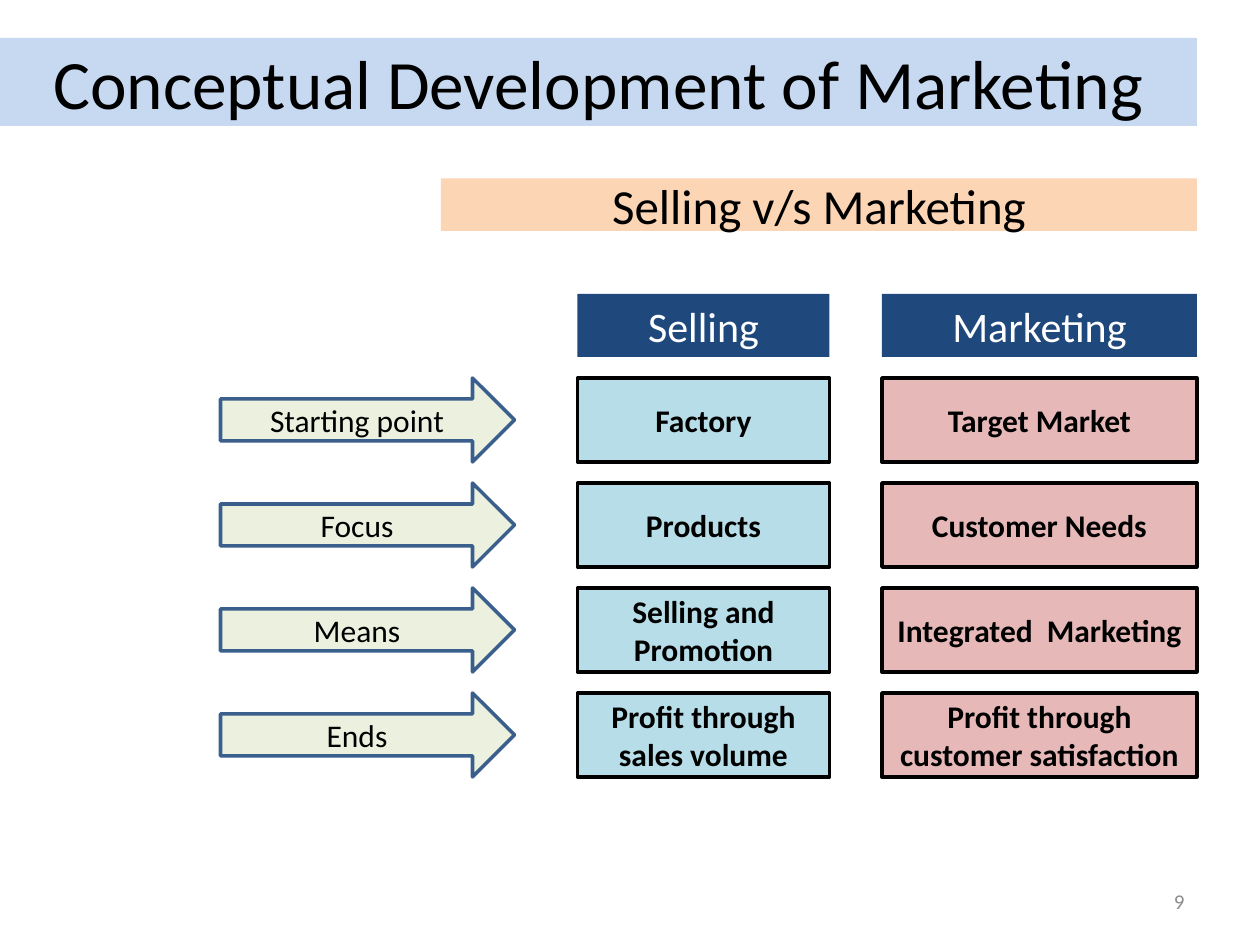
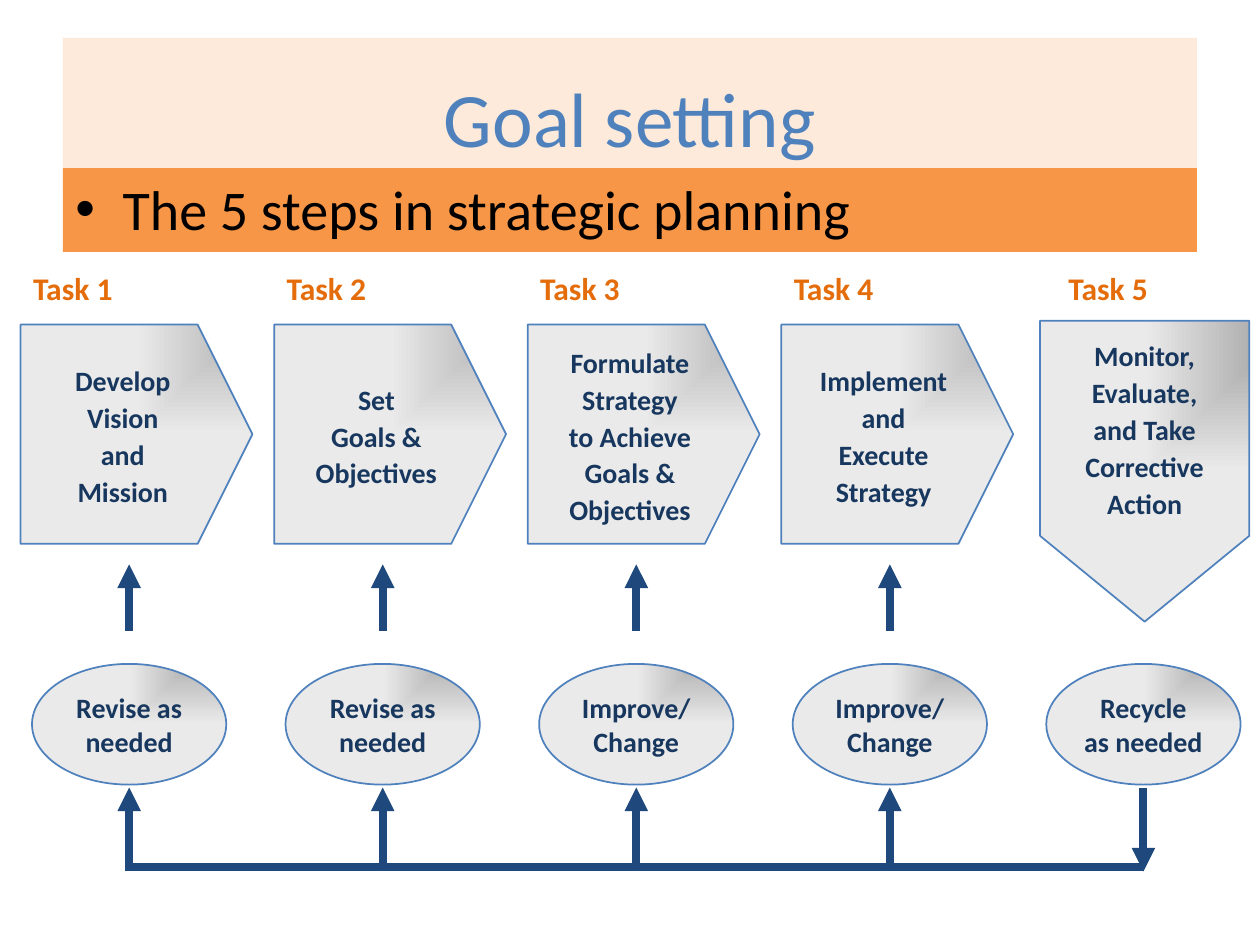
from lxml import etree
from pptx import Presentation
from pptx.dml.color import RGBColor
from pptx.enum.shapes import MSO_CONNECTOR, MSO_SHAPE
from pptx.enum.text import MSO_ANCHOR, PP_ALIGN
from pptx.oxml import parse_xml
from pptx.oxml.ns import nsdecls, qn
from pptx.util import Pt

FONT = "Calibri"
BLACK = RGBColor(0x00, 0x00, 0x00)
WHITE = RGBColor(0xFF, 0xFF, 0xFF)
GREY = RGBColor(0x8C, 0x8C, 0x8C)
NAVY = RGBColor(0x1F, 0x49, 0x7D)
INK = RGBColor(0x17, 0x37, 0x5E)
BLUE = RGBColor(0x4F, 0x81, 0xBD)
STEEL = RGBColor(0x3A, 0x5F, 0x8C)
SKY = RGBColor(0xC6, 0xD9, 0xF1)
AQUA = RGBColor(0xB7, 0xDE, 0xE8)
ROSE = RGBColor(0xE6, 0xB9, 0xB8)
LIME = RGBColor(0xEB, 0xF1, 0xDE)
PEACH = RGBColor(0xFC, 0xD5, 0xB5)
CREAM = RGBColor(0xFD, 0xEA, 0xDA)
ORANGE = RGBColor(0xF7, 0x96, 0x46)
RUST = RGBColor(0xE4, 0x6C, 0x0A)

# Grey shading that is darkest in the top right corner
SHADE = f"""<a:gradFill {nsdecls("a")} rotWithShape="0"><a:gsLst>
<a:gs pos="0"><a:srgbClr val="B2B2B2"/></a:gs>
<a:gs pos="100000"><a:srgbClr val="EAEAEA"/></a:gs></a:gsLst>
<a:path path="rect"><a:fillToRect l="100000" b="100000"/></a:path></a:gradFill>"""


def put(slide, text, left, top, width, height, kind=MSO_SHAPE.RECTANGLE,
        fill=None, line=None, weight=1, size=18, color=BLACK, bold=False,
        align=PP_ALIGN.CENTER, anchor=MSO_ANCHOR.MIDDLE, wrap=True, space=None):
    """Add a shape with text; a kind of None gives a plain text box."""
    area = [Pt(n) for n in (left, top, width, height)]
    if kind is None:
        shape = slide.shapes.add_textbox(*area)
    else:
        shape = slide.shapes.add_shape(kind, *area)
        shape.shadow.inherit = False
        if fill == SHADE:
            shape.fill.background()
            old = shape._element.spPr.find(qn("a:noFill"))
            old.getparent().replace(old, parse_xml(SHADE))
        else:
            shape.fill.solid()
            shape.fill.fore_color.rgb = fill
        if line is None:
            shape.line.fill.background()
        else:
            shape.line.color.rgb = line
            shape.line.width = Pt(weight)
    frame = shape.text_frame
    frame.word_wrap = wrap
    frame.vertical_anchor = anchor
    frame.text = text
    for para in frame.paragraphs:
        para.alignment = align
        para.line_spacing = space
        for run in para.runs:
            run.font.name = FONT
            run.font.size = Pt(size)
            run.font.bold = bold
            run.font.color.rgb = color
    return shape


def draw(slide, x1, y1, x2, y2, arrow=True):
    """Add a thick navy line, with an arrowhead at its end if asked."""
    link = slide.shapes.add_connector(
        MSO_CONNECTOR.STRAIGHT, Pt(x1), Pt(y1), Pt(x2), Pt(y2))
    link.line.color.rgb = NAVY
    link.line.width = Pt(4.5)
    if arrow:
        etree.SubElement(link.line._get_or_add_ln(), qn("a:tailEnd"), type="triangle")
    etree.SubElement(link._element.spPr, qn("a:effectLst"))


deck = Presentation()
deck.slide_width, deck.slide_height = Pt(720), Pt(540)
blank = deck.slide_layouts[6]

# Slide 1: selling against marketing
slide = deck.slides.add_slide(blank)
put(slide, "Conceptual Development of Marketing", 0, 21.6, 684, 50.4,
    fill=SKY, size=39.6)
put(slide, "Selling v/s Marketing", 252, 102, 432, 30, fill=PEACH, size=28)

HEADS = [("Selling", 330, 144, AQUA), ("Marketing", 504, 180, ROSE)]
ROWS = [
    ("Starting point", "Factory", "Target Market"),
    ("Focus", "Products", "Customer Needs"),
    ("Means", "Selling and Promotion", "Integrated  Marketing"),
    ("Ends", "Profit through sales volume", "Profit through customer satisfaction"),
]
for head, left, width, _ in HEADS:
    put(slide, head, left, 168, width, 36, fill=NAVY, size=24, color=WHITE,
        anchor=MSO_ANCHOR.TOP)
for i, (label, *cells) in enumerate(ROWS):
    top = 216 + 60 * i
    put(slide, label, 126, top, 168, 48, kind=MSO_SHAPE.RIGHT_ARROW,
        fill=LIME, line=STEEL, weight=2)
    for cell, (_, left, width, tint) in zip(cells, HEADS):
        put(slide, cell, left, top, width, 48, fill=tint, line=BLACK, weight=2,
            bold=True)
put(slide, "9", 516, 500.5, 168, 28.75, kind=None, size=12, color=GREY,
    align=PP_ALIGN.RIGHT)

# Slide 2: the planning steps
slide = deck.slides.add_slide(blank)
put(slide, "Goal setting", 36, 21.6, 648, 90, fill=CREAM, size=44, color=BLUE)
band = put(slide, "The 5 steps in strategic planning", 36, 96, 648, 48,
           fill=ORANGE, size=32, align=PP_ALIGN.LEFT, anchor=MSO_ANCHOR.TOP)
para = band.text_frame.paragraphs[0]
para.space_before = Pt(6.4)
props = para._p.get_or_add_pPr()
props.set("marL", str(Pt(27)))
props.set("indent", str(Pt(-27)))
etree.SubElement(props, qn("a:buFont"), typeface="Arial")
etree.SubElement(props, qn("a:buChar"), char="•")

STEPS = [
    ("Develop\nVision\nand\nMission", "Revise as\nneeded"),
    ("Set\nGoals &\nObjectives", "Revise as\nneeded"),
    ("Formulate\nStrategy\nto Achieve\nGoals &\nObjectives", "Improve/\nChange"),
    ("Implement\nand\nExecute\nStrategy", "Improve/\nChange"),
    ("Monitor,\nEvaluate,\nand Take Corrective\nAction", "Recycle\nas needed"),
]
FIRST, PITCH = 73.8, 144.9
LAST = FIRST + PITCH * 4
PANEL = dict(fill=SHADE, line=BLUE)
BOLD = dict(size=16, color=INK, bold=True)

for i, (task, review) in enumerate(STEPS):
    mid = FIRST + PITCH * i
    final = mid == LAST
    put(slide, f"Task {i + 1}", mid - (50 if final else 62), 150, 101, 29.5,
        kind=None, color=RUST, bold=True, align=PP_ALIGN.LEFT)
    if final:
        shape = put(slide, "", mid - 85.3, 209.5, 172, 119.5,
                    kind=MSO_SHAPE.PENTAGON, **PANEL)
        shape.rotation = 90
        shape.adjustments[0] = 0.41
        put(slide, task, mid - 55.5, 173.5, 112.3, 142, kind=None, space=1.1, **BOLD)
        draw(slide, mid, 450, mid, 498)
    else:
        shape = put(slide, task, mid - 62, 185.5, 132.5, 125.3,
                    kind=MSO_SHAPE.PENTAGON, wrap=False, space=1.1, **PANEL, **BOLD)
        shape.adjustments[0] = 0.25
        draw(slide, mid, 360.5, mid, 322.5)
        draw(slide, mid, 498, mid, 450)
    put(slide, review, mid - 55.5, 379.4, 111, 69, kind=MSO_SHAPE.OVAL,
        wrap=False, **PANEL, **BOLD)
draw(slide, FIRST - 2.3, 495.5, LAST, 495.5, arrow=False)

deck.save("out.pptx")
